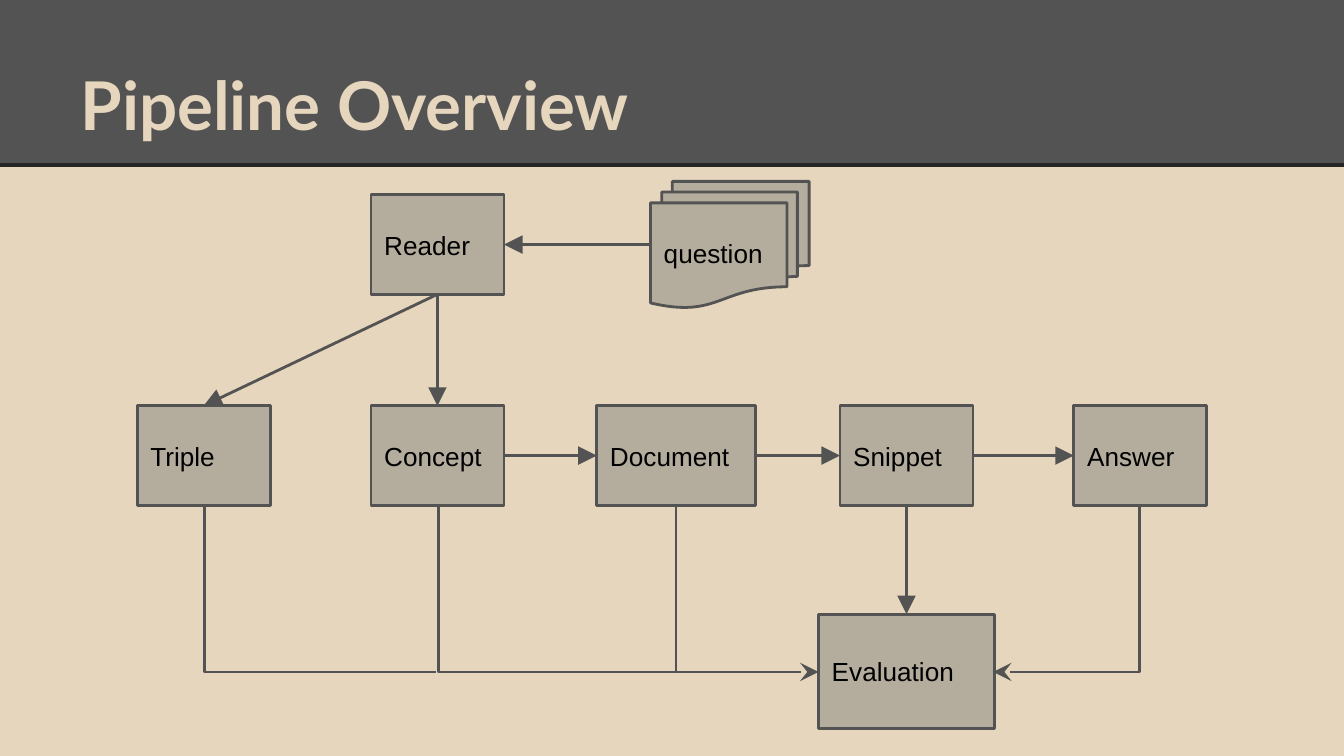
"""Build the Pipeline Overview slide: a flow chart of processing stages."""
import pptx
import pptx.util
import pptx.dml.color
import pptx.enum.shapes
import pptx.enum.text
import pptx.oxml
import pptx.oxml.ns
import pptx.oxml.xmlchemy

Inches = pptx.util.Inches
Pt = pptx.util.Pt
qn = pptx.oxml.ns.qn
OxmlElement = pptx.oxml.xmlchemy.OxmlElement
MSO_SHAPE = pptx.enum.shapes.MSO_SHAPE
MSO_CONNECTOR = pptx.enum.shapes.MSO_CONNECTOR
MSO_ANCHOR = pptx.enum.text.MSO_ANCHOR

COLORS = {
    "sand": "E6D6BD",
    "box": "B4AD9E",
    "gray": "535353",
    "dark": "262626",
    "text": "000000",
}
TOP, LEFT, BOTTOM, RIGHT = range(4)


def rgb(name):
    return pptx.dml.color.RGBColor.from_string(COLORS[name])


class FlowSlide:
    def __init__(self, prs):
        self.s = prs.slides.add_slide(prs.slide_layouts[5])
        self.s.background.fill.solid()
        self.s.background.fill.fore_color.rgb = rgb("sand")

    def format_text(self, sp, text, font, size, color, anchor, bold=False):
        tf = sp.text_frame
        tf.text = text
        tf.word_wrap = True
        tf.auto_size = pptx.enum.text.MSO_AUTO_SIZE.NONE
        tf.vertical_anchor = anchor
        tf.margin_left = tf.margin_right = Inches(0.1)
        tf.margin_top = tf.margin_bottom = Inches(0.1)
        p = tf.paragraphs[0]
        p.alignment = pptx.enum.text.PP_ALIGN.LEFT
        r = p.runs[0]
        r.font.name = font
        r.font.size = Pt(size)
        r.font.bold = bold
        r.font.color.rgb = rgb(color)

    def shape(self, kind, x, y, w, h, fill):
        sp = self.s.shapes.add_shape(kind, Inches(x), Inches(y), Inches(w), Inches(h))
        sp.shadow.inherit = False
        sp.fill.solid()
        sp.fill.fore_color.rgb = rgb(fill)
        sp.line.fill.background()
        return sp

    def title(self, text):
        self.shape(MSO_SHAPE.RECTANGLE, 0, 0, 10, 1.23, "gray")
        self.line((0, 1.23), (10, 1.23), color="dark", width=2.25)
        sp = self.s.shapes.title
        sp.element.getparent().append(sp.element)
        sp.left, sp.top = Inches(0.5), Inches(0.23)
        sp.width, sp.height = Inches(9), Inches(0.94)
        self.format_text(sp, text, "Lato", 36, "sand", MSO_ANCHOR.BOTTOM, bold=True)

    def node(self, text, x, y, w=0.99, h=0.74, kind=MSO_SHAPE.RECTANGLE):
        sp = self.shape(kind, x, y, w, h, "box")
        sp.line.color.rgb = rgb("gray")
        sp.line.width = Pt(1.5)
        self.format_text(sp, text, "Arial", 14, "text", MSO_ANCHOR.MIDDLE)
        return sp

    def line(self, start, end, head=None, color="gray", width=1.5,
             kind=MSO_CONNECTOR.STRAIGHT):
        c = self.s.shapes.add_connector(kind, *map(Inches, start + end))
        c.line.color.rgb = rgb(color)
        c.line.width = Pt(width)
        spPr = c.element.spPr
        if head:
            tail = OxmlElement("a:tailEnd")
            for key, value in (("type", head), ("w", "lg"), ("len", "lg")):
                tail.set(key, value)
            spPr.find(qn("a:ln")).append(tail)
        spPr.append(OxmlElement("a:effectLst"))
        return c

    def arrow(self, a, a_side, b, b_side):
        c = self.line((0, 0), (1, 1), head="triangle")
        c.begin_connect(a, a_side)
        c.end_connect(b, b_side)

    def elbow(self, start, end, head=None):
        (x1, y1), (x2, y2) = start, end
        cx, cy = (x1 + x2) / 2, (y1 + y2) / 2
        half_w, half_h = (y2 - y1) / 2, abs(x2 - x1) / 2
        c = self.line((cx - half_w, cy - half_h), (cx + half_w, cy + half_h),
                      head, kind=MSO_CONNECTOR.ELBOW)
        spPr = c.element.spPr
        spPr.find(qn("a:prstGeom")).set("prst", "bentConnector2")
        xfrm = spPr.find(qn("a:xfrm"))
        rightward = x2 > x1
        xfrm.set("rot", str((270 if rightward else 90) * 60000))
        if rightward:
            xfrm.set("flipH", "1")


def main():
    prs = pptx.Presentation()
    prs.slide_width, prs.slide_height = Inches(10), Inches(10 * 9 / 16)
    flow = FlowSlide(prs)
    flow.title("Pipeline Overview")

    question = flow.node("question", 4.84, 1.35, 1.18, 0.94,
                         MSO_SHAPE.FLOWCHART_MULTIDOCUMENT)
    reader = flow.node("Reader", 2.76, 1.45)
    row = 3.02
    triple = flow.node("Triple", 1.02, row)
    concept = flow.node("Concept", 2.76, row)
    document = flow.node("Document", 4.44, row, 1.18)
    snippet = flow.node("Snippet", 6.25, row)
    answer = flow.node("Answer", 7.99, row)
    evaluation = flow.node("Evaluation", 6.09, 4.57, 1.31, 0.85)

    flow.arrow(question, LEFT, reader, RIGHT)
    for stage in (triple, concept):
        flow.arrow(reader, BOTTOM, stage, TOP)
    chain = (concept, document, snippet, answer)
    for a, b in zip(chain, chain[1:]):
        flow.arrow(a, RIGHT, b, LEFT)
    flow.arrow(snippet, BOTTOM, evaluation, TOP)

    base, bus = 3.76, 5
    flow.elbow((8.48, base), (7.39, bus), "stealth")
    flow.elbow((3.26, base), (6.09, bus), "stealth")
    flow.elbow((1.52, base), (3.24, bus))
    flow.line((5.03, base), (5.03, bus))

    prs.save("out.pptx")


if __name__ == "__main__":
    main()
